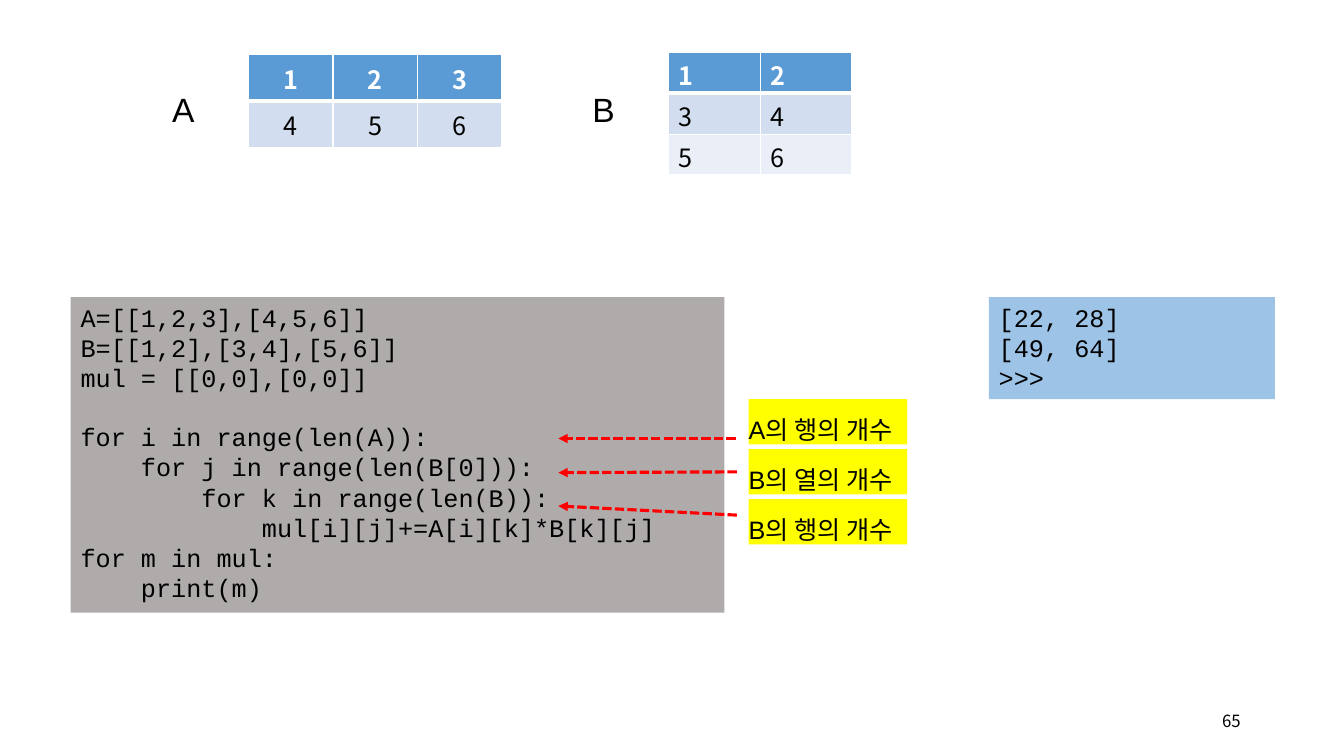
from lxml import etree
from pptx import Presentation
from pptx.dml.color import RGBColor
from pptx.enum.dml import MSO_LINE_DASH_STYLE as Dash
from pptx.enum.shapes import MSO_CONNECTOR as Connector
from pptx.enum.text import MSO_ANCHOR as Anchor, PP_ALIGN as Align
from pptx.oxml.ns import qn
from pptx.util import Cm, Pt

SANS, MONO, KOREAN = "Arial", "Courier New", "Noto Sans CJK KR"


def color(value):
    """Turn a hex string into a colour."""
    return RGBColor.from_string(value)


def write(frame, lines, font=KOREAN, size=18, ink="000000", bold=False,
          align=Align.LEFT, spacing=1.0, gap_before=None):
    """Write lines as paragraphs; gap_before maps a line number to points."""
    for number, line in enumerate(lines):
        paragraph = frame.paragraphs[0] if number == 0 else frame.add_paragraph()
        paragraph.alignment = align
        paragraph.line_spacing = spacing
        if number in (gap_before or {}):
            paragraph.space_before = Pt(gap_before[number])
        run = paragraph.add_run()
        run.text = line
        run.font.size = Pt(size)
        run.font.bold = bold
        run.font.color.rgb = color(ink)
        run.font.name = font
        etree.SubElement(run.font._element, qn("a:ea"), typeface=KOREAN)


class MatrixSlide:
    """Holds the current slide and the style of its elements."""

    header, bands, border = "5B9BD5", ("D2DEEF", "EAEFF7"), "FFFFFF"
    arrow_color = "FF0000"

    def __init__(self, deck):
        self.slide = deck.slides.add_slide(deck.slide_layouts[6])

    def text(self, box, lines, fill=None, inset=True, wrap=True,
             anchor=Anchor.TOP, **style):
        """Add a text box, optionally filled."""
        panel = self.slide.shapes.add_textbox(*map(Cm, box))
        if fill:
            panel.fill.solid()
            panel.fill.fore_color.rgb = color(fill)
        frame = panel.text_frame
        frame.word_wrap = wrap
        frame.vertical_anchor = anchor
        if not inset:
            frame.margin_left = frame.margin_right = 0
            frame.margin_top = frame.margin_bottom = 0
        write(frame, lines, **style)

    def edge(self, cell, side, width):
        """Draw one border of a cell."""
        line = etree.SubElement(cell._tc.get_or_add_tcPr(), qn("a:ln" + side),
                                w=str(Pt(width)))
        solid = etree.SubElement(line, qn("a:solidFill"))
        etree.SubElement(solid, qn("a:srgbClr"), val=self.border)

    def matrix(self, left, top, column, row, values, margins, align):
        """Add a matrix as a table with a header row."""
        rows, columns = len(values), len(values[0])
        table = self.slide.shapes.add_table(
            rows, columns, Cm(left), Cm(top),
            Cm(column * columns), Cm(row * rows)).table
        for r, numbers in enumerate(values):
            for c, number in enumerate(numbers):
                cell = table.cell(r, c)
                cell.margin_top, cell.margin_bottom = map(Cm, margins)
                for side in "LRTB":
                    divider = (r, side) in ((0, "B"), (1, "T"))
                    self.edge(cell, side, 3 if divider else 1)
                cell.fill.solid()
                cell.fill.fore_color.rgb = color(
                    self.bands[(r - 1) % 2] if r else self.header)
                write(cell.text_frame, [str(number)], align=align, bold=r == 0,
                      ink="000000" if r else "FFFFFF")

    def arrow(self, start, end):
        """Add a dashed arrow."""
        pointer = self.slide.shapes.add_connector(
            Connector.STRAIGHT, *map(Cm, start + end))
        pointer.line.color.rgb = color(self.arrow_color)
        pointer.line.width = Pt(2.25)
        pointer.line.dash_style = Dash.SQUARE_DOT
        etree.SubElement(pointer.line._get_or_add_ln(), qn("a:tailEnd"),
                         type="triangle")
        etree.SubElement(pointer._element.spPr, qn("a:effectLst"))


def main():
    """Build the matrix multiplication slide."""
    deck = Presentation()
    deck.slide_width, deck.slide_height = Cm(33.87), Cm(19.05)
    page = MatrixSlide(deck)
    page.text((30.3, 17.65, 1.22, 1.02), ["65"], size=12, align=Align.RIGHT,
              anchor=Anchor.MIDDLE)

    page.matrix(6.26, 1.38, 2.13, 1.17, [[1, 2, 3], [4, 5, 6]],
                (0.13, 0.13), Align.CENTER)
    page.matrix(16.85, 1.32, 2.31, 1.03, [[1, 2], [3, 4], [5, 6]],
                (0.1, 0), Align.LEFT)
    for name, left in (("A", 4.09), ("B", 14.68)):
        page.text((left, 1.6, 1.09, 1.6), [name], wrap=False, font=SANS,
                  size=24, spacing=1.5)

    code = [
        "A=[[1,2,3],[4,5,6]]",
        "B=[[1,2],[3,4],[5,6]]",
        "mul = [[0,0],[0,0]]",
        "for i in range(len(A)):",
        "    for j in range(len(B[0])):",
        "        for k in range(len(B)):",
        "            mul[i][j]+=A[i][k]*B[k][j]",
        "for m in mul:",
        "    print(m)",
    ]
    page.text((1.78, 7.49, 16.48, 7.95), code, fill="AFABAB", font=MONO,
              gap_before={3: 20.4})
    page.text((24.92, 7.49, 7.21, 2.57), ["[22, 28]", "[49, 64]", ">>>"],
              fill="9DC3E6", font=MONO)

    loop_notes = [
        ("A의 행의 개수", (18.54, 11.05), (14.07, 11.05)),
        ("B의 열의 개수", (18.57, 11.89), (14.07, 11.91)),
        ("B의 행의 개수", (18.57, 12.98), (14.07, 12.75)),
    ]
    for number, (note, start, end) in enumerate(loop_notes):
        page.text((18.87, 10.06 + 1.26 * number, 3.99, 1.14), [note],
                  fill="FFFF00", inset=False, wrap=False, font=SANS,
                  spacing=1.5)
        page.arrow(start, end)
    deck.save("out.pptx")


if __name__ == "__main__":
    main()
